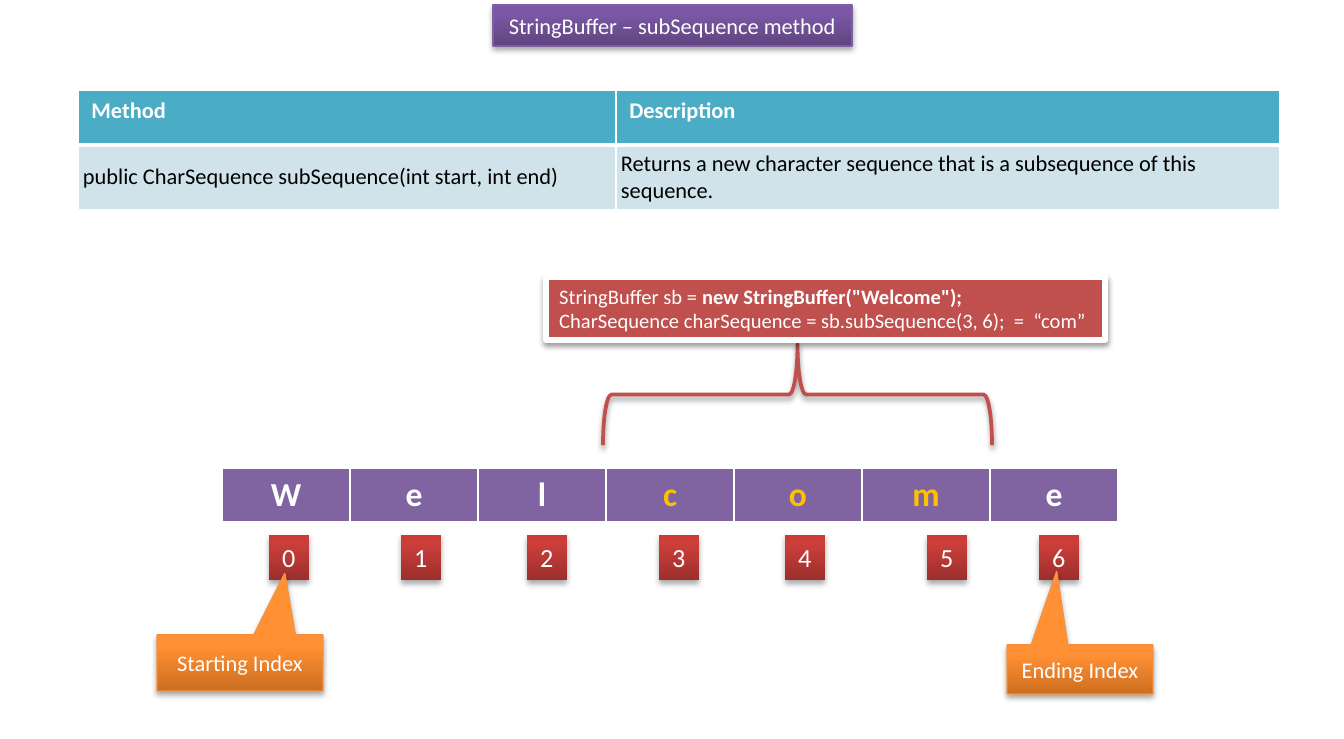
import copy
import pptx
import pptx.dml.color
import pptx.enum.shapes
import pptx.enum.text
import pptx.oxml
import pptx.oxml.ns
import pptx.util

SCALE = 914400 / 134.4
COLORS = {
    "white": "FFFFFF", "black": "000000", "gold": "FFC000",
    "teal": "4BACC6", "pale": "D0E3EA", "purple": "8064A2",
    "title_line": "7D60A0", "orange_line": "F69240", "red": "C0504D",
}
GRADIENTS = {
    "purple": ("5F4480", "7B58A6", "7C57A8"),
    "red": ("9C2F2D", "CB3E3A", "CE3B37"),
    "orange": ("CC6E20", "FF9034", "FF9136"),
}
RGB = pptx.dml.color.RGBColor.from_string
SHAPES = pptx.enum.shapes.MSO_SHAPE
ALIGN = pptx.enum.text.PP_ALIGN
ANCHOR = pptx.enum.text.MSO_ANCHOR
NAMESPACE = pptx.oxml.ns.nsdecls("a")


def style_shape(shape, gradient=None, line=None, width=0.75, opacity=35):
    if gradient:
        shape.fill.gradient()
        shape.fill.gradient_angle = 90
        stop_list = shape._element.spPr.find(".//" + pptx.oxml.ns.qn("a:gsLst"))
        stop_list.append(copy.deepcopy(stop_list[-1]))
        for stop, position, color in zip(shape.fill.gradient_stops, (0, 0.8, 1), GRADIENTS[gradient]):
            stop.position = position
            stop.color.rgb = RGB(color)
    if line:
        shape.line.color.rgb = RGB(COLORS[line])
        shape.line.width = pptx.util.Pt(width)
    else:
        shape.line.fill.background()
    shape.shadow.inherit = False
    effects = shape._element.spPr.find(pptx.oxml.ns.qn("a:effectLst"))
    effects.append(pptx.oxml.parse_xml(
        f'<a:outerShdw {NAMESPACE} blurRad="40000" dist="23000" dir="5400000" rotWithShape="0">'
        f'<a:srgbClr val="{COLORS["black"]}"><a:alpha val="{opacity * 1000}"/></a:srgbClr></a:outerShdw>'))


def add_run(paragraph, text, size, color="white", bold=False, align=ALIGN.LEFT):
    paragraph.alignment = align
    run = paragraph.add_run()
    run.text = text
    run.font.name = "Calibri"
    run.font.size = pptx.util.Pt(size)
    run.font.bold = bold
    run.font.color.rgb = RGB(COLORS[color])


presentation = pptx.Presentation()
presentation.slide_width = round(1344 * SCALE)
presentation.slide_height = round(739 * SCALE)
slide = presentation.slides.add_slide(presentation.slide_layouts[5])

title = slide.shapes.title
title.left, title.top, title.width, title.height = [round(n * SCALE) for n in (493, 5, 359, 41)]
style_shape(title, "purple", "title_line")
title.text_frame.auto_size = pptx.enum.text.MSO_AUTO_SIZE.NONE
add_run(title.text_frame.paragraphs[0], "StringBuffer – subSequence method", 12, align=ALIGN.CENTER)

method_rows = [
    ["Method", "Description"],
    ["public CharSequence subSequence(int start, int end)",
     "Returns a new character sequence that is a subsequence of this sequence."],
]
tables = [
    (method_rows, 78, 90, [538, 664], [55, 64]),
    ([list("Welcome")], 222, 468, [128] * 7, [55]),
]
for rows, left, top, widths, heights in tables:
    box = [round(n * SCALE) for n in (left, top, sum(widths), sum(heights))]
    table = slide.shapes.add_table(len(rows), len(widths), *box).table
    letters = rows is not method_rows
    for column, width in zip(table.columns, widths):
        column.width = round(width * SCALE)
    for row_index, texts in enumerate(rows):
        table.rows[row_index].height = round(heights[row_index] * SCALE)
        body = row_index == 1
        for column_index, text in enumerate(texts):
            cell = table.cell(row_index, column_index)
            cell.fill.solid()
            cell.fill.fore_color.rgb = RGB(COLORS["purple" if letters else "pale" if body else "teal"])
            if body:
                cell.vertical_anchor = ANCHOR.MIDDLE
                cell.margin_left = cell.margin_right = round(5 * SCALE)
                cell.margin_top = cell.margin_bottom = round(5 * SCALE)
            color = "black" if body else "gold" if letters and 3 <= column_index < 6 else "white"
            add_run(cell.text_frame.paragraphs[0], text, 18 if letters else 12, color,
                    not body, ALIGN.CENTER if letters else ALIGN.LEFT)
            borders = {"L": 1, "R": 1, "T": 3 if body else 1, "B": 1 if body else 3}
            for position, (side, points) in enumerate(borders.items()):
                cell._tc.get_or_add_tcPr().insert(position, pptx.oxml.parse_xml(
                    f'<a:ln{side} {NAMESPACE} w="{points * 12700}"><a:solidFill>'
                    f'<a:srgbClr val="{COLORS["white"]}"/></a:solidFill></a:ln{side}>'))

for index, left in enumerate([269, 401, 527, 659, 785, 927, 1039]):
    box = [round(n * SCALE) for n in (left, 535, 40, 45)]
    index_box = slide.shapes.add_shape(SHAPES.RECTANGLE, *box)
    style_shape(index_box, "red")
    index_box.text_frame.word_wrap = False
    index_box.text_frame.vertical_anchor = ANCHOR.TOP
    add_run(index_box.text_frame.paragraphs[0], str(index), 14)

callouts = [
    ("Starting Index", (157, 635, 166, 56), (0.27, -1.6)),
    ("Ending Index", (1007, 645, 146, 49), (-0.16, -2)),
]
for text, bounds, tip in callouts:
    box = [round(n * SCALE) for n in bounds]
    callout = slide.shapes.add_shape(SHAPES.RECTANGULAR_CALLOUT, *box)
    callout.adjustments[0], callout.adjustments[1] = tip
    style_shape(callout, "orange", "orange_line")
    callout.text_frame.word_wrap = True
    callout.text_frame.vertical_anchor = ANCHOR.MIDDLE
    add_run(callout.text_frame.paragraphs[0], text, 12, align=ALIGN.CENTER)

brace = slide.shapes.add_shape(SHAPES.LEFT_BRACE, *[round(n * SCALE) for n in (747, 200, 101, 389)])
brace.rotation = 90
brace.fill.background()
style_shape(brace, line="red", width=2, opacity=38)

code_box = slide.shapes.add_shape(SHAPES.RECTANGLE, *[round(n * SCALE) for n in (546, 277, 559, 63)])
code_box.fill.solid()
code_box.fill.fore_color.rgb = RGB(COLORS["red"])
style_shape(code_box, line="white", width=3, opacity=38)
code_box.text_frame.word_wrap = False
code_box.text_frame.vertical_anchor = ANCHOR.TOP
first_line = code_box.text_frame.paragraphs[0]
add_run(first_line, "StringBuffer sb = ", 11)
add_run(first_line, 'new StringBuffer("Welcome");', 11, bold=True)
add_run(code_box.text_frame.add_paragraph(),
        "CharSequence charSequence = sb.subSequence(3, 6);  =  “com”", 11)

presentation.save("out.pptx")
